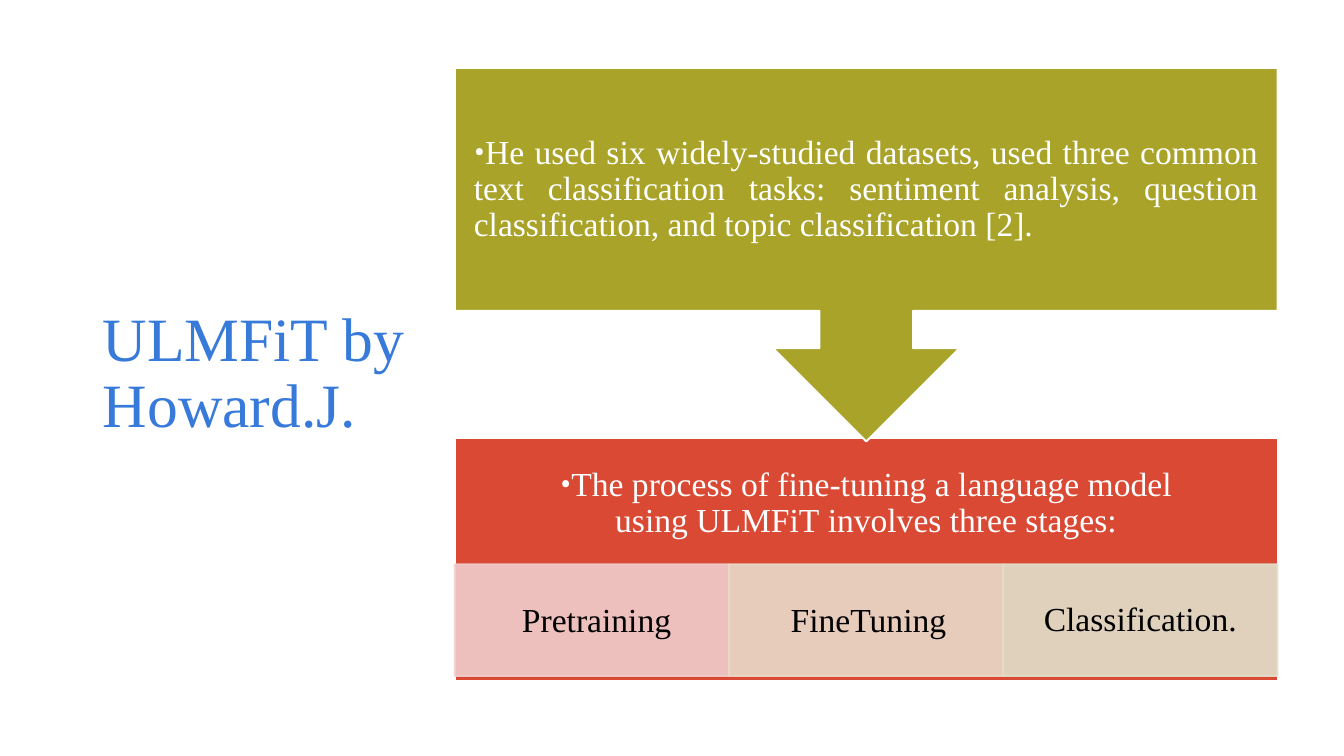
"""Build the ULMFiT slide: a title beside a two-step flow with three stages."""
import dataclasses

import pptx
import pptx.dml.color
import pptx.enum.shapes
import pptx.enum.text
import pptx.oxml
import pptx.oxml.ns
import pptx.util

SCALE = 4572
HARD = chr(160)
KIND = pptx.enum.shapes.MSO_SHAPE
ALIGN = pptx.enum.text.PP_ALIGN
MID = pptx.enum.text.MSO_ANCHOR.MIDDLE


@dataclasses.dataclass(frozen=True)
class Theme:
    blue: str = "377AD9"
    olive: str = "A9A32A"
    red: str = "D94934"
    white: str = "FFFFFF"
    black: str = "000000"
    tints: tuple = ("F1CECC", "E9DACA", "E1E0CB")
    serif: str = "Times New Roman"
    sans: str = "Roboto"
    book: str = "EB Garamond"
    head: int = 33
    lead: int = 20
    body: int = 18


THEME = Theme()


def px(num):
    return pptx.util.Emu(num * SCALE)


def paint(part, hue):
    part.solid()
    part.fore_color.rgb = pptx.dml.color.RGBColor.from_string(hue)


def put(item, **vals):
    for key, val in vals.items():
        setattr(item, key, val)


def place(item, box):
    put(item, **dict(zip(("left", "top", "width", "height"), map(px, box))))


def write(item, runs, hue, align, pad):
    side, edge = map(px, pad)
    frame = item.text_frame
    put(frame, word_wrap=True, auto_size=pptx.enum.text.MSO_AUTO_SIZE.NONE,
        vertical_anchor=MID, margin_left=side, margin_right=side,
        margin_top=edge, margin_bottom=edge)
    para = frame.paragraphs[0]
    put(para, alignment=align, line_spacing=0.9)
    for text, face, size in runs:
        run = para.add_run()
        run.text = text
        put(run.font, name=face, size=pptx.util.Pt(size))
        run.font.color.rgb = pptx.dml.color.RGBColor.from_string(hue)


def label(slide, box, runs, hue, align, pad):
    item = slide.shapes.add_textbox(*map(px, box))
    write(item, runs, hue, align, pad)


def block(slide, kind, box, fill, line, alpha=None):
    item = slide.shapes.add_shape(kind, *map(px, box))
    item.shadow.inherit = False
    paint(item.fill, fill)
    paint(item.line.fill, line)
    item.line.width = pptx.util.Pt(1)
    if alpha:
        for tone in item.element.spPr.iter(pptx.oxml.ns.qn("a:srgbClr")):
            node = pptx.oxml.parse_xml(
                f'<a:alpha {pptx.oxml.ns.nsdecls("a")} val="{alpha * 1000}"/>')
            tone.append(node)
    return item


def point(text):
    return [("•", THEME.sans, THEME.body), (text, THEME.serif, THEME.body)]


def stage(slide, box, text, tint, lead):
    block(slide, KIND.RECTANGLE, box, tint, tint, 90)
    runs = [(HARD, lead, THEME.lead)] if lead else []
    runs.append((text, THEME.serif, THEME.body))
    label(slide, box, runs, THEME.black, ALIGN.CENTER, (32, 6))


def main():
    deck = pptx.Presentation()
    put(deck, slide_width=px(2000), slide_height=px(1125))
    slide = deck.slides.add_slide(deck.slide_layouts[5])

    title = slide.shapes.title
    place(title, (138, 100, 484, 914))
    write(title, [("ULMFiT by Howard.J.", THEME.serif, THEME.head)],
          THEME.blue, ALIGN.LEFT, (15, 8))

    left, wide = 677, 1224
    block(slide, KIND.RECTANGLE, (left, 652, wide, 362), THEME.red, THEME.white)
    label(slide, (left, 652, wide, 195),
          point("The process of fine-tuning a language model "
                f"using{HARD}ULMFiT{HARD}involves three stages:"),
          THEME.white, ALIGN.CENTER, (28, 28))

    names = ("Pretraining", "FineTuning", "Classification.")
    leads = (THEME.sans, THEME.book, None)
    step = wide // len(names)
    for num, (name, tint, lead) in enumerate(zip(names, THEME.tints, leads)):
        stage(slide, (left + num * step, 840, step, 166), name, tint, lead)

    arrow = block(slide, KIND.UP_ARROW_CALLOUT, (left, 101, wide, 556),
                  THEME.olive, THEME.white)
    arrow.rotation = 180
    for num, val in enumerate((0.25, 0.25, 0.25, 0.65)):
        arrow.adjustments[num] = val
    label(slide, (left, 101, wide, 362),
          point("He used six widely-studied datasets, used three common text "
                "classification tasks: sentiment analysis, question "
                "classification, and topic classification [2]."),
          THEME.white, ALIGN.JUSTIFY, (28, 28))

    deck.save("out.pptx")


if __name__ == "__main__":
    main()
